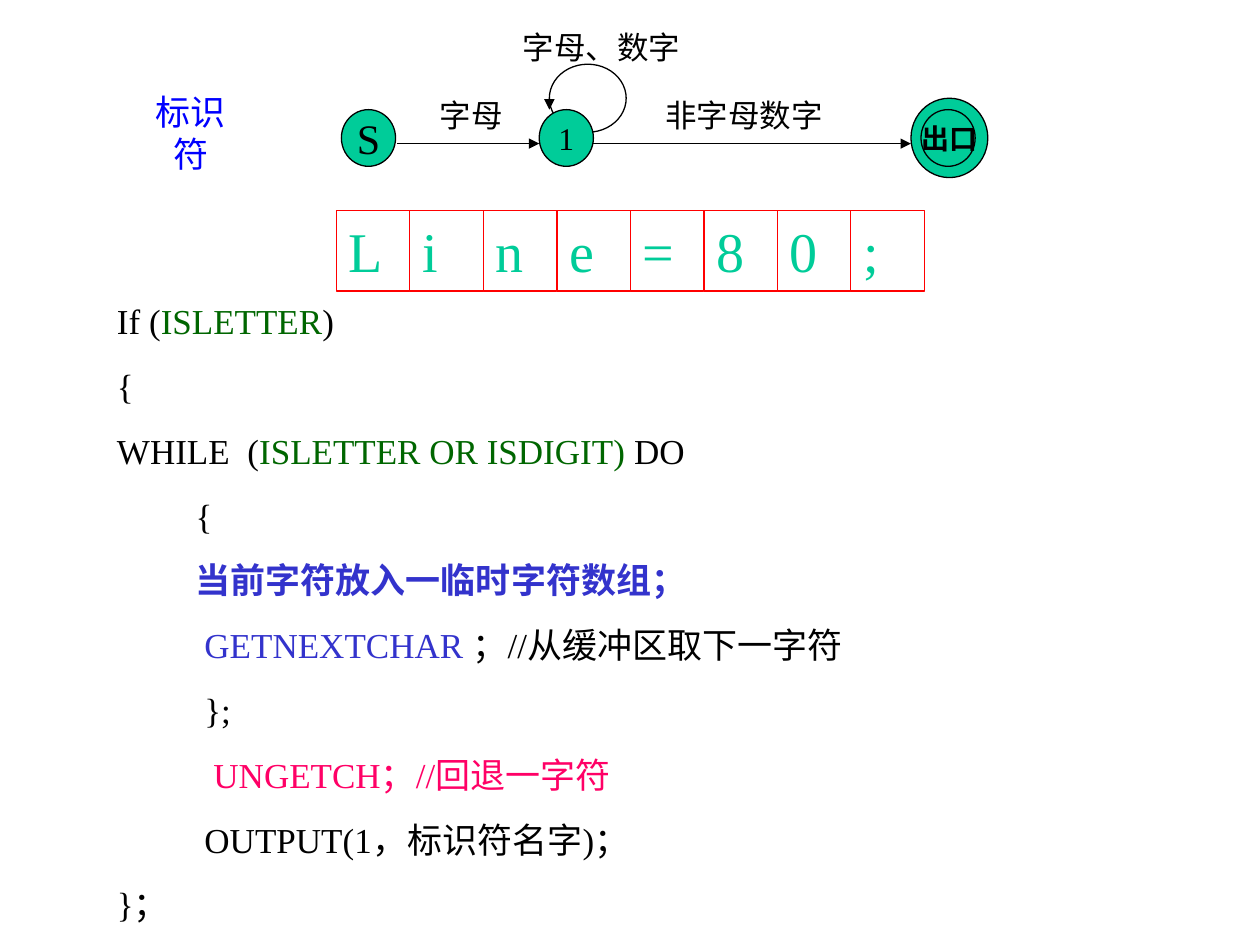
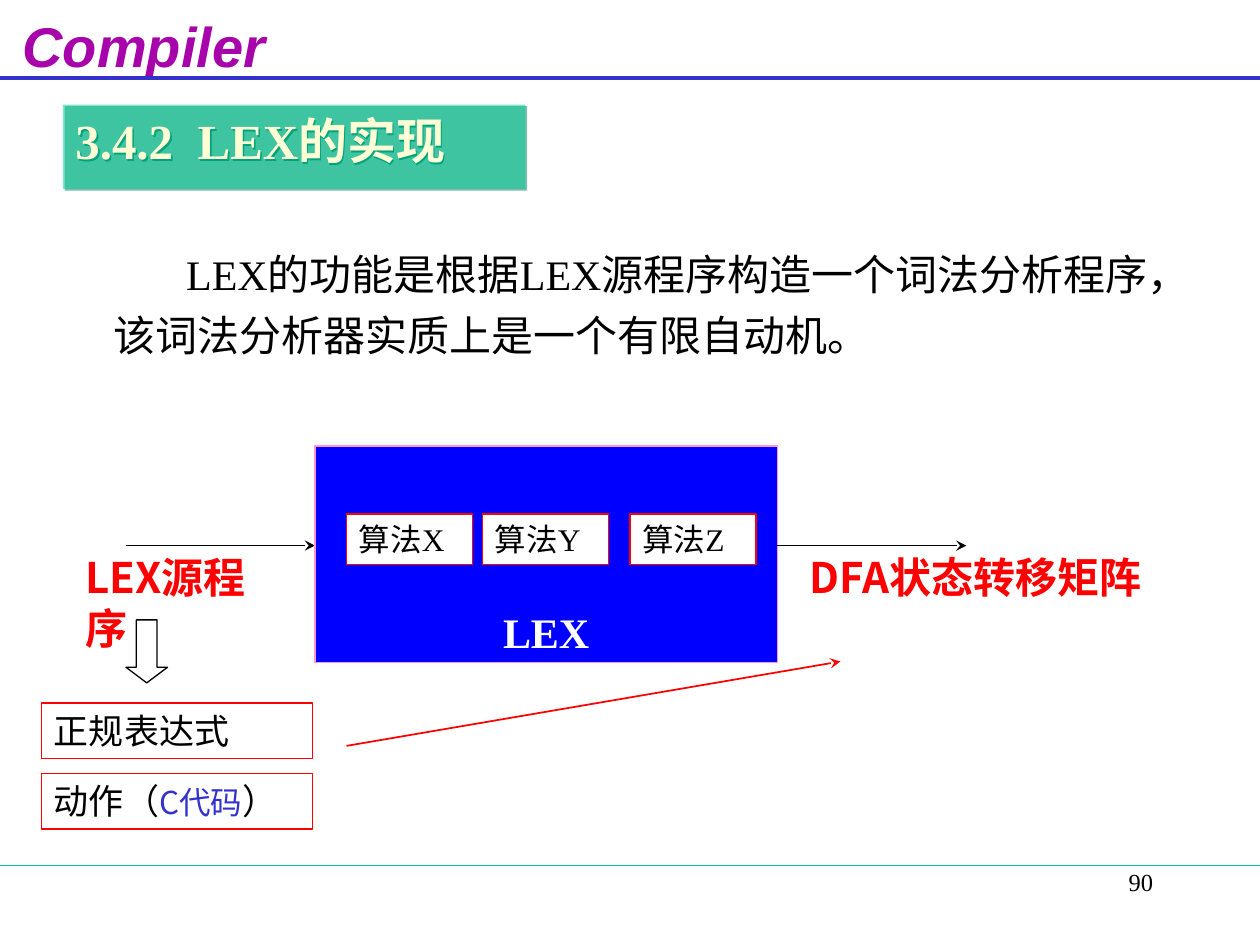
"""Build two slides on identifier scanning and the LEX generator."""
from lxml.etree import SubElement
from pptx import Presentation
from pptx.dml.color import RGBColor
from pptx.enum.shapes import MSO_CONNECTOR, MSO_SHAPE
from pptx.enum.text import MSO_ANCHOR, PP_ALIGN
from pptx.oxml import parse_xml
from pptx.oxml.ns import nsdecls, qn
from pptx.util import Inches, Pt

BLACK = RGBColor(0x00, 0x00, 0x00)
WHITE = RGBColor(0xFF, 0xFF, 0xFF)
RED = RGBColor(0xFF, 0x00, 0x00)
BLUE = RGBColor(0x00, 0x00, 0xFF)
INDIGO = RGBColor(0x33, 0x33, 0xCC)
TEAL = RGBColor(0x00, 0xCC, 0x99)
GREEN = RGBColor(0x00, 0x66, 0x00)
ROSE = RGBColor(0xFF, 0x00, 0x66)
PINK = RGBColor(0xFF, 0x99, 0xCC)
PURPLE = RGBColor(0xA6, 0x03, 0xAB)
CREAM = RGBColor(0xFF, 0xFF, 0xD5)
SERIF = "Times New Roman"
SANS = "Noto Sans CJK SC"
MID = {"vertical_anchor": MSO_ANCHOR.MIDDLE, "word_wrap": False}


def box(slide, place, paras=(), kind=None, fill=None, edge=None, frame={},
        align=PP_ALIGN.LEFT, before=0, **base):
    """Add a shape or text box; each paragraph lists (text, format) runs."""
    spot = [Inches(n) for n in place]
    if kind is None:
        shape = slide.shapes.add_textbox(*spot)
    else:
        shape = slide.shapes.add_shape(kind, *spot)
        shape.shadow.inherit = False
        if fill is None:
            shape.fill.background()
        else:
            shape.fill.solid()
            shape.fill.fore_color.rgb = fill
        if edge is None:
            shape.line.fill.background()
        else:
            shape.line.color.rgb = edge
            shape.line.width = Pt(0.75)
    text = shape.text_frame
    for key, value in {"word_wrap": True, "vertical_anchor": MSO_ANCHOR.TOP, **frame}.items():
        setattr(text, key, value)
    for i, runs in enumerate(paras):
        para = text.add_paragraph() if i else text.paragraphs[0]
        para.alignment = align
        if i:
            para.space_before = Pt(before)
        for words, style in runs:
            run = para.add_run()
            run.text = words
            look = {"name": SERIF, "size": 18, "color": BLACK, **base, **style}
            run.font.color.rgb = look.pop("color")
            look["size"] = Pt(look["size"])
            for key, value in look.items():
                setattr(run.font, key, value)
            SubElement(run.font._element, qn("a:ea"), typeface=SANS)
    return shape


def link(slide, ends, color=BLACK, width=0.75, head=None):
    """Add a straight line with an optional arrowhead."""
    line = slide.shapes.add_connector(MSO_CONNECTOR.STRAIGHT, *[Inches(n) for n in ends])
    line.line.color.rgb = color
    line.line.width = Pt(width)
    if head:
        SubElement(line.line._get_or_add_ln(), qn("a:tailEnd"), type=head)
    SubElement(line._element.spPr, qn("a:effectLst"))


deck = Presentation()
deck.slide_width, deck.slide_height = Inches(10), Inches(7.5)
scan, lex = [deck.slides.add_slide(deck.slide_layouts[6]) for _ in range(2)]

box(scan, (4.36, 0.51, 0.61, 0.54), kind=MSO_SHAPE.OVAL, edge=BLACK)
nodes = [
    ((7.23, 0.78, 0.61, 0.63), "出口", {"size": 16, "bold": True}),
    ((2.71, 0.87, 0.43, 0.45), "S", {"size": 24}),
    ((4.28, 0.87, 0.43, 0.45), "1", {}),
]
for place, name, style in nodes:
    box(scan, place, [[(name, style)]], MSO_SHAPE.OVAL, TEAL, BLACK, MID, PP_ALIGN.CENTER)
box(scan, (7.31, 0.87, 0.43, 0.45), kind=MSO_SHAPE.OVAL, edge=BLACK)
for ends in [(3.15, 1.14, 4.28, 1.14), (4.71, 1.14, 7.23, 1.14), (4.36, 0.78, 4.36, 0.87)]:
    link(scan, ends, head="triangle")

labels = [
    ((1, 0.83, 1.03, 0.44), "标识符", {"size": 20, "color": BLUE}),
    ((5.18, 0.71, 1.45, 0.4), "非字母数字", {}),
    ((3.39, 0.71, 0.7, 0.4), "字母", {}),
    ((4.05, 0.17, 1.45, 0.4), "字母、数字", {}),
]
for place, words, style in labels:
    box(scan, place, [[(words, style)]], frame=MID, align=PP_ALIGN.CENTER)

test, call, undo = {"color": GREEN}, {"color": INDIGO}, {"color": ROSE}
code = [
    [("If (", {}), ("ISLETTER", test), (")", {})],
    [("{", {})],
    [("WHILE  (", {}), ("ISLETTER OR ISDIGIT)", test), (" DO", {})],
    [("         {", {})],
    [("          ", call), ("当前字符放入一临时字符数组；", {**call, "bold": True})],
    [("          GETNEXTCHAR ", call), ("；//从缓冲区取下一字符", {})],
    [("          };", {})],
    [("           ", {}), ("UNGETCH；//回退一字符", undo)],
    [("          OUTPUT(1，标识符名字)；", {})],
    [("}；", {})],
]
box(scan, (0.83, 2.33, 7.58, 5), code, before=13, size=20)

step = 7 / 12
for i, char in enumerate("Line=80;"):
    box(scan, (2.67 + i * step, 1.67, step, 0.64), [[(char, {})]],
        MSO_SHAPE.RECTANGLE, WHITE, RED, size=32, color=TEAL)

box(lex, (7.17, 6.83, 2.08, 0.5), [[("90", {})]], align=PP_ALIGN.RIGHT, size=14)
box(lex, (0.08, 0.04, 2.3, 0.62), [[("Compiler", {})]],
    name="Arial", size=32, color=PURPLE, bold=True, italic=True)
link(lex, (0, 0.62, 10, 0.62), INDIGO, 2.25)
link(lex, (0, 6.87, 10, 6.87), TEAL)

title = box(lex, (0.5, 0.83, 3.67, 0.67), [[("3.4.2  LEX的实现", {})]],
            MSO_SHAPE.RECTANGLE, TEAL, size=28, color=CREAM, bold=True)
props = title._element.spPr
SubElement(props.find(".//" + qn("a:srgbClr")), qn("a:alpha"), val="50000")
props.remove(props.find(qn("a:effectLst")))
props.append(parse_xml(
    f'<a:effectLst {nsdecls("a")}><a:outerShdw dist="17780" dir="2700000">'
    '<a:srgbClr val="007A5C"/></a:outerShdw></a:effectLst>'))

intro = box(lex, (0.8, 1.92, 9.1, 0.99), [
    [("LEX的功能是根据LEX源程序构造一个词法分析程序，", {})],
    [("该词法分析器实质上是一个有限自动机。", {})],
], before=6, size=24)
intro.text_frame.paragraphs[0]._p.get_or_add_pPr().set("indent", str(Inches(0.58)))

link(lex, (1, 4.33, 2.5, 4.33), width=1, head="stealth")
box(lex, (2.5, 3.54, 3.67, 1.72), [[("LEX", {})]], MSO_SHAPE.RECTANGLE, BLUE, PINK,
    {"vertical_anchor": MSO_ANCHOR.BOTTOM}, PP_ALIGN.CENTER,
    size=24, color=WHITE, bold=True)
for left, mark in [(2.75, "X"), (3.83, "Y"), (5, "Z")]:
    box(lex, (left, 4.08, 1, 0.4), [[("算法", {"name": SANS}), (mark, {})]],
        MSO_SHAPE.RECTANGLE, WHITE, RED)
for place, words in [((0.58, 4.33, 1.75, 0.9), "LEX源程序"),
                     ((6.33, 4.33, 3, 0.5), "DFA状态转移矩阵")]:
    box(lex, place, [[(words, {})]], name=SANS, size=24, color=RED, bold=True)

arrow = box(lex, (1, 4.92, 0.33, 0.5), kind=MSO_SHAPE.DOWN_ARROW, edge=BLACK)
arrow.adjustments[1] = 0.375
parts = [
    [("正规表达式", {})],
    [("动作（", {}), ("C代码", {"size": 18, "color": INDIGO}), ("）", {})],
]
for i, runs in enumerate(parts):
    box(lex, (0.33, 5.58 + i * 0.56, 2.15, 0.44), [runs],
        MSO_SHAPE.RECTANGLE, edge=RED, name=SANS, size=20)
link(lex, (6.17, 4.33, 7.67, 4.33), width=1, head="stealth")
link(lex, (2.75, 5.92, 6.67, 5.25), RED, 1, "stealth")

deck.save("out.pptx")
